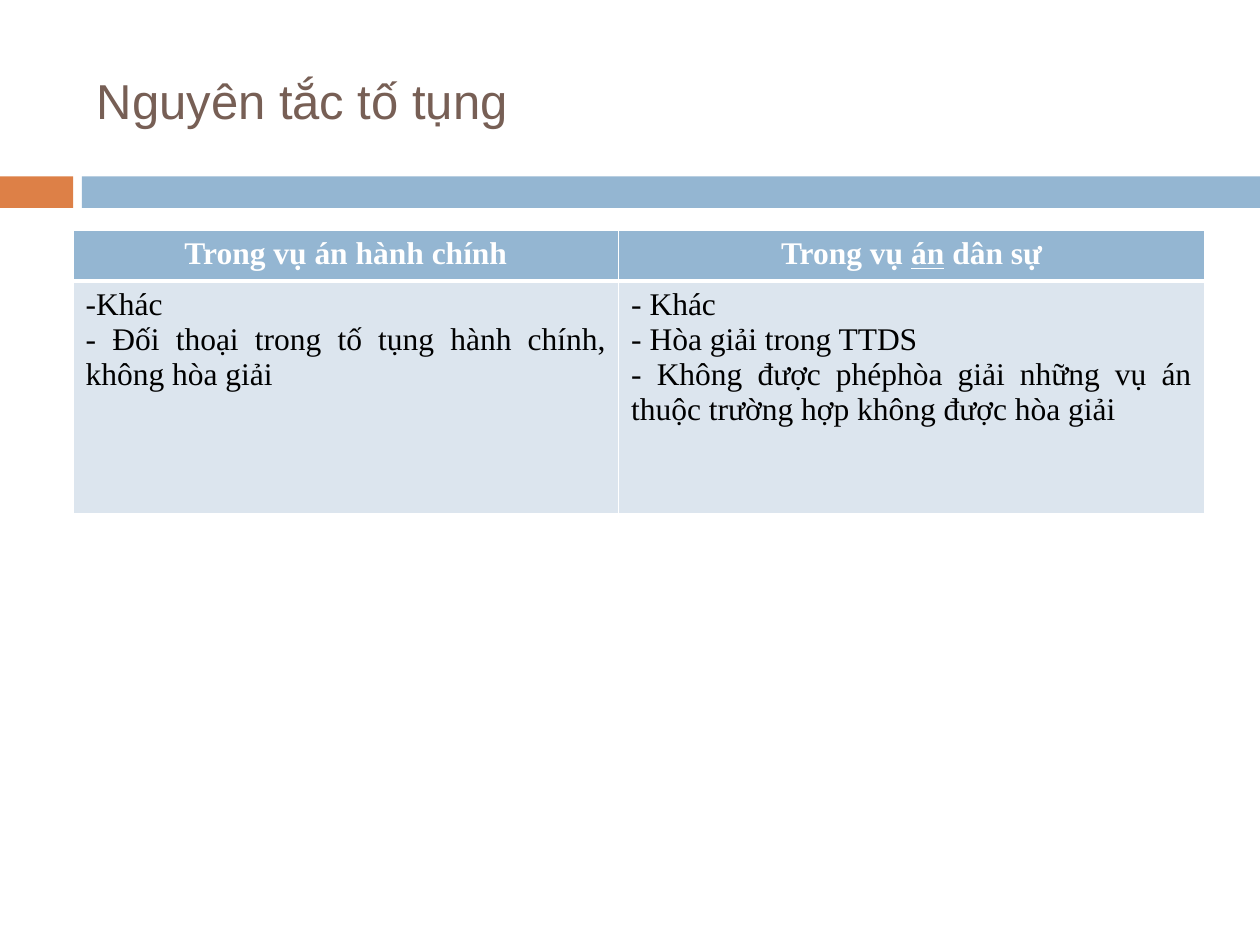
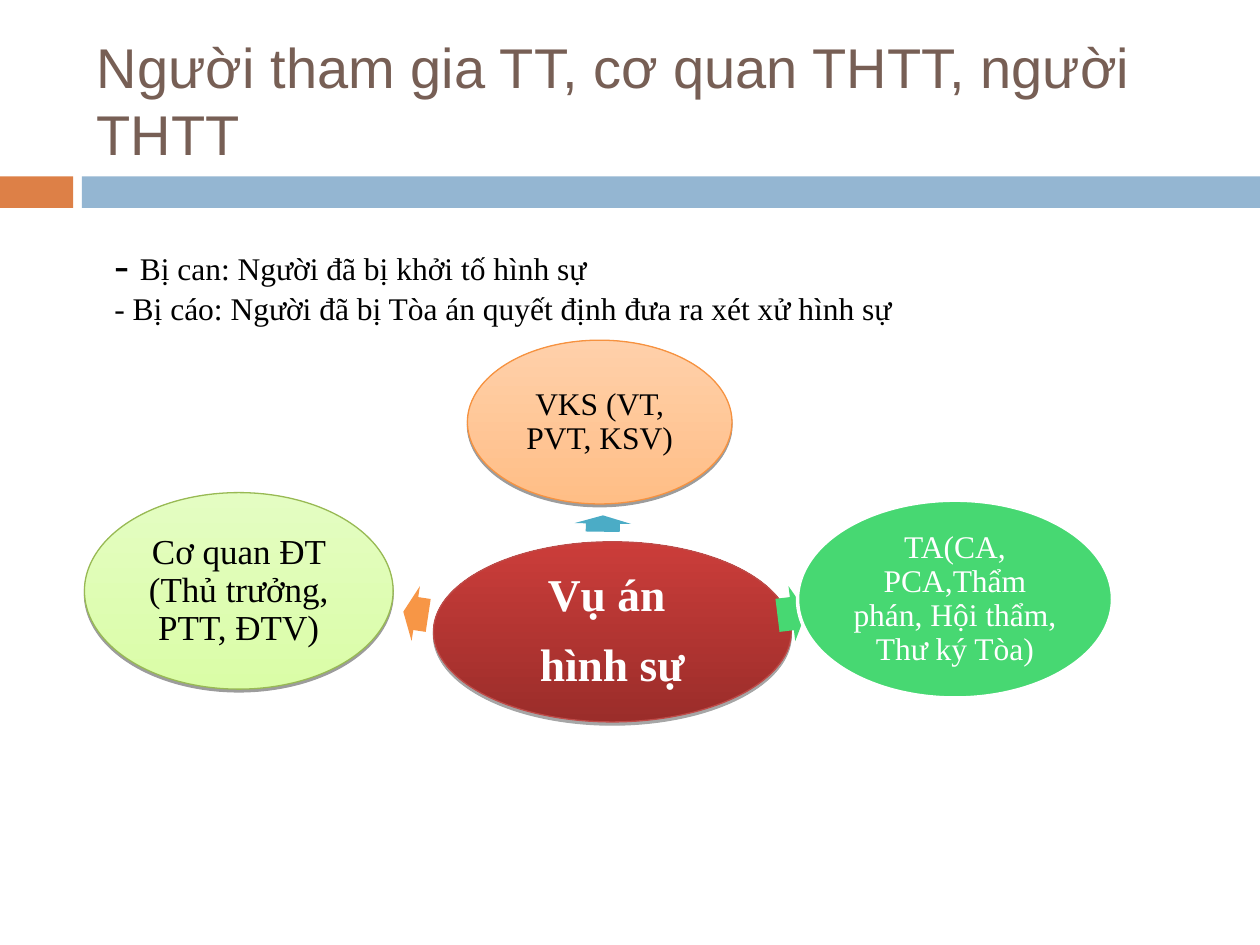
"""Build two slides on litigation principles and the participants in proceedings."""
import pptx
import pptx.dml.color
import pptx.enum.shapes
import pptx.enum.text
import pptx.oxml
import pptx.oxml.ns
import pptx.util
from pptx.util import Inches

SHAPE = pptx.enum.shapes.MSO_SHAPE
ALIGN = pptx.enum.text.PP_ALIGN
MIDDLE = pptx.enum.text.MSO_ANCHOR.MIDDLE
NS = pptx.oxml.ns.nsdecls("a")
BLUE, ORANGE, BROWN = "94B6D2", "DD8047", "775F55"
WHITE, BLACK, PALE_BLUE, GREEN = "FFFFFF", "000000", "DCE5EE", "47D872"
SERIF = "Times New Roman"


def rgb(value):
    return pptx.dml.color.RGBColor.from_string(value)


def style(paragraph, size, color, align, bold=False, face=SERIF):
    paragraph.alignment = align
    paragraph.font.name = face
    paragraph.font.size = pptx.util.Pt(size)
    paragraph.font.bold = bold
    paragraph.font.color.rgb = rgb(color)


deck = pptx.Presentation()
deck.slide_width, deck.slide_height = Inches(10), Inches(7.5)

slides = []
for heading, size in [
    ("Nguyên tắc tố tụng", 28),
    ("Người tham gia TT, cơ quan THTT, người THTT", 32),
]:
    slide = deck.slides.add_slide(deck.slide_layouts[6])
    slides.append(slide)
    for left, width, color in [(0, 0.58, ORANGE), (0.65, 9.35, BLUE)]:
        band = slide.shapes.add_shape(
            SHAPE.RECTANGLE, Inches(left), Inches(1.4), Inches(width), Inches(0.25))
        band.shadow.inherit = False
        band.fill.solid()
        band.fill.fore_color.rgb = rgb(color)
        band.line.fill.background()
    title = slide.shapes.add_textbox(
        Inches(0.67), Inches(0.25), Inches(8.92), Inches(1.08)).text_frame
    title.word_wrap = True
    title.vertical_anchor = MIDDLE
    title.text = heading
    style(title.paragraphs[0], size, BROWN, ALIGN.LEFT, face="Arial")

principles_slide, participants_slide = slides

principles = principles_slide.shapes.add_table(
    2, 2, Inches(0.58), Inches(1.83), Inches(8.98), Inches(2.25)).table
for column, width in zip(principles.columns, (4.33, 4.65)):
    column.width = Inches(width)
for row, height in zip(principles.rows, (0.4, 1.85)):
    row.height = Inches(height)

comparison = [
    [["Trong vụ án hành chính"], ["Trong vụ án dân sự"]],
    [
        ["-Khác", "- Đối thoại trong tố tụng hành chính, không hòa giải"],
        ["- Khác", "- Hòa giải trong TTDS",
         "- Không được phéphòa giải những vụ án thuộc trường hợp không được hòa giải"],
    ],
]
for row_index, row_texts in enumerate(comparison):
    is_header = row_index == 0
    for column_index, lines in enumerate(row_texts):
        cell = principles.cell(row_index, column_index)
        cell.fill.solid()
        cell.fill.fore_color.rgb = rgb(BLUE if is_header else PALE_BLUE)
        cell.text = "\n".join(lines)
        if is_header and column_index == 1:
            heading = cell.text_frame.paragraphs[0]
            heading.clear()
            for part in ("Trong vụ ", "án", " dân sự"):
                run = heading.add_run()
                run.text = part
                if part == "án":
                    run.font.underline = True
        for paragraph in cell.text_frame.paragraphs:
            if is_header:
                style(paragraph, 18, WHITE, ALIGN.CENTER, bold=True)
            else:
                style(paragraph, 18, BLACK, ALIGN.JUSTIFY)
        borders = {"L": 1, "R": 1, "T": 1 if is_header else 3, "B": 3 if is_header else 1}
        for position, (side, points) in enumerate(borders.items()):
            cell._tc.tcPr.insert(position, pptx.oxml.parse_xml(
                f'<a:ln{side} {NS} w="{points * 12700}"><a:solidFill>'
                f'<a:srgbClr val="{WHITE}"/></a:solidFill></a:ln{side}>'))

definitions = participants_slide.shapes.add_textbox(
    Inches(0.81), Inches(1.83), Inches(8.66), Inches(0.82)).text_frame
definitions.word_wrap = True
accused = definitions.paragraphs[0]
for text, size in [("- ", 25), ("Bị can: Người đã bị khởi tố hình sự", 18)]:
    run = accused.add_run()
    run.text = text
    run.font.size = pptx.util.Pt(size)
defendant = definitions.add_paragraph()
defendant.text = "- Bị cáo: Người đã bị Tòa án quyết định đưa ra xét xử hình sự"
for paragraph in definitions.paragraphs:
    style(paragraph, 18, BLACK, ALIGN.JUSTIFY)

arrows = [
    (SHAPE.RIGHT_ARROW, 4.72, 3.93, 0.13, 0.45, 270.9, "4BACC6"),
    (SHAPE.RIGHT_ARROW, 6.17, 4.65, 0.23, 0.44, 353, GREEN),
    (SHAPE.LEFT_ARROW, 3.2, 4.65, 0.2, 0.44, 8.6, "F79646"),
]
bodies = [
    (3.44, 4.3, 2.84, 1.43, ("9B2D2A", "CB3D3A"), "BE4B48", 0.75, (35, 1.8),
     "Vụ án \nhình sự", 26, WHITE, True),
    (3.71, 2.7, 2.1, 1.3, ("FFBE86", "FFD0AA"), "F69240", 0.75, (38, 1.6),
     "VKS (VT, PVT, KSV)", 18, BLACK, False),
    (6.33, 3.97, 2.5, 1.57, (GREEN,), WHITE, 2, None,
     "TA(CA, PCA,Thẩm phán, Hội thẩm, Thư ký Tòa)", 18, WHITE, False),
    (0.67, 3.91, 2.45, 1.56, ("DAFDA7", "E4FDC2"), "98B954", 0.75, (38, 1.6),
     "Cơ quan ĐT (Thủ trưởng, PTT, ĐTV)", 20, BLACK, False),
]
diagram = [bodies[0]]
for arrow, body in zip(arrows, bodies[1:]):
    diagram += [arrow, body]

for item in diagram:
    if item in arrows:
        kind, left, top, width, height, angle, color = item
        arrow = participants_slide.shapes.add_shape(
            kind, Inches(left), Inches(top), Inches(width), Inches(height))
        arrow.adjustments[0], arrow.adjustments[1] = 0.6, 0.5
        arrow.rotation = angle
        arrow.shadow.inherit = False
        arrow.fill.solid()
        arrow.fill.fore_color.rgb = rgb(color)
        arrow.line.fill.background()
        continue

    left, top, width, height, fills, outline, weight, shade, text, size, ink, bold = item
    body = participants_slide.shapes.add_shape(
        SHAPE.OVAL, Inches(left), Inches(top), Inches(width), Inches(height))
    if len(fills) == 2:
        body.fill.gradient()
        body.fill.gradient_angle = 90
        for stop, color, position in zip(body.fill.gradient_stops, fills, (0, 1)):
            stop.color.rgb = rgb(color)
            stop.position = position
    else:
        body.fill.solid()
        body.fill.fore_color.rgb = rgb(fills[0])
    body.line.color.rgb = rgb(outline)
    body.line.width = pptx.util.Pt(weight)
    body.shadow.inherit = False
    if shade:
        opacity, distance = shade
        effects = body._element.spPr.find(pptx.oxml.ns.qn("a:effectLst"))
        effects.append(pptx.oxml.parse_xml(
            f'<a:outerShdw {NS} blurRad="0" dist="{int(distance * 12700)}" dir="5400000" '
            f'rotWithShape="0"><a:srgbClr val="{BLACK}"><a:alpha val="{opacity * 1000}"/>'
            '</a:srgbClr></a:outerShdw>'))
    label = body.text_frame
    label.word_wrap = True
    label.vertical_anchor = MIDDLE
    label.margin_left = label.margin_right = Inches(0.06)
    label.margin_top = label.margin_bottom = Inches(0.06)
    label.text = text
    for paragraph in label.paragraphs:
        style(paragraph, size, ink, ALIGN.CENTER, bold)
        paragraph.line_spacing = 0.9
        paragraph.space_after = pptx.util.Pt(12)

deck.save("out.pptx")
